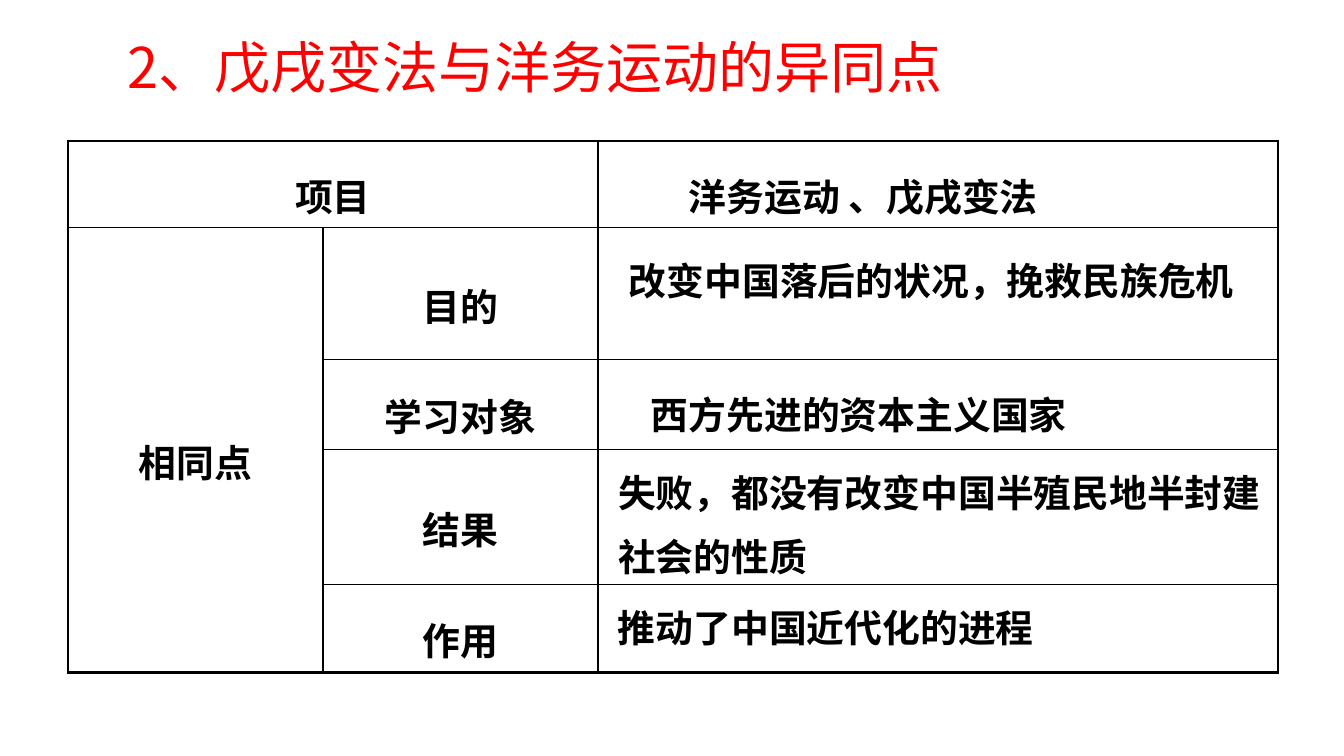
from lxml.etree import SubElement
from pptx import Presentation
from pptx.dml.color import RGBColor
from pptx.enum.text import MSO_ANCHOR, MSO_AUTO_SIZE, PP_ALIGN
from pptx.oxml import parse_xml
from pptx.oxml.ns import nsdecls, qn
from pptx.util import Emu, Pt

SCALE = 914400 / 100.8
COLORS = {"ink": "000000", "title": "FF0000"}
CJK_FONT = "Noto Sans CJK SC"
COLUMNS = [255, 275, 680]
ROWS = [78, 132, 90, 135, 88]
LABELS = {
    (0, 0): "项目",
    (1, 0): "相同点",
    (1, 1): "目的",
    (2, 1): "学习对象",
    (3, 1): "结果",
    (4, 1): "作用",
}
HEADING = "洋务运动 、戊戌变法"
ANSWERS = [
    ("改变中国落后的状况，挽救民族危机", (616, 233, 641, 78), False),
    ("西方先进的资本主义国家", (638, 367, 449, 78), False),
    ("失败，都没有改变中国半殖民地半封建社会的性质", (605, 445, 672, 142), True),
    ("推动了中国近代化的进程", (605, 580, 449, 78), False),
]


def px(length):
    """Turn pixels into EMU."""
    return Emu(round(length * SCALE))


def write(para, text, size, color, font="Arial", bold=False, indent=0):
    """Add one styled run to a paragraph."""
    span = para.add_run()
    span.text = text
    span.font.size = Pt(size)
    span.font.bold = bold
    span.font.name = font
    span.font.color.rgb = RGBColor.from_string(COLORS[color])
    SubElement(span.font._element, qn("a:ea"), typeface=CJK_FONT)
    if indent:
        properties = para._p.get_or_add_pPr()
        properties.set("marL", str(px(indent)))
        properties.set("indent", "0")


def set_margins(target, across, down):
    """Set the inner margins of a cell or text frame."""
    target.margin_left = target.margin_right = px(across)
    target.margin_top = target.margin_bottom = px(down)


def add_text_frame(page, box, wrap=True):
    """Add a text box and return its frame."""
    frame = page.shapes.add_textbox(*map(px, box)).text_frame
    frame.word_wrap = wrap
    frame.auto_size = MSO_AUTO_SIZE.SHAPE_TO_FIT_TEXT
    return frame


def add_borders(cell, row, column):
    """Draw heavy outer and thin inner borders around a cell."""
    height = cell.span_height if cell.is_merge_origin else 1
    width = cell.span_width if cell.is_merge_origin else 1
    outer = {
        "lnL": column == 0,
        "lnR": column + width == len(COLUMNS),
        "lnT": row == 0,
        "lnB": row + height == len(ROWS),
    }
    edges = [(tag, heavy) for tag, heavy in outer.items() if heavy or not cell.is_spanned]
    properties = cell._tc.get_or_add_tcPr()
    for position, (tag, heavy) in enumerate(edges):
        weight = Pt(2.25 if heavy else 1)
        properties.insert(position, parse_xml(
            f'<a:{tag} {nsdecls("a")} w="{weight}"><a:solidFill>'
            f'<a:srgbClr val="{COLORS["ink"]}"/></a:solidFill></a:{tag}>'))


def fill_cell(cell, text, align, anchor, indent=0):
    """Write a bold label in a cell."""
    cell.vertical_anchor = anchor
    para = cell.text_frame.paragraphs[0]
    para.alignment = align
    para.line_spacing = 1.4
    para.space_before = Pt(5.4)
    write(para, text, 27, "ink", bold=True, indent=indent)


def add_comparison(page, box):
    """Build the comparison table."""
    table = page.shapes.add_table(len(ROWS), len(COLUMNS), *map(px, box)).table
    table.first_row = table.horz_banding = False
    for column, width in zip(table.columns, COLUMNS):
        column.width = px(width)
    for row, height in zip(table.rows, ROWS):
        row.height = px(height)
    table.cell(0, 0).merge(table.cell(0, 1))
    table.cell(1, 0).merge(table.cell(4, 0))
    for row in range(len(ROWS)):
        for column in range(len(COLUMNS)):
            cell = table.cell(row, column)
            set_margins(cell, 13, 5)
            cell.fill.background()
            add_borders(cell, row, column)
    for place, label in LABELS.items():
        fill_cell(table.cell(*place), label, PP_ALIGN.CENTER, MSO_ANCHOR.MIDDLE)
    fill_cell(table.cell(0, 2), HEADING, PP_ALIGN.LEFT, MSO_ANCHOR.TOP, indent=78)


def add_answer(page, box, text, wrap):
    """Place one answer over its table row."""
    frame = add_text_frame(page, box, wrap)
    set_margins(frame, 13, 7)
    para = frame.paragraphs[0]
    para.line_spacing = 1.4
    write(para, text, 27, "ink", bold=True)


def add_title(page, box):
    """Place the slide heading."""
    para = add_text_frame(page, box).paragraphs[0]
    write(para, "2、戊戌变法与洋务运动的异同点", 40, "title", CJK_FONT, indent=50)


def main():
    """Build and save the deck."""
    deck = Presentation()
    deck.slide_width, deck.slide_height = px(1344), px(756)
    page = deck.slides.add_slide(deck.slide_layouts[6])
    add_comparison(page, (68, 141, sum(COLUMNS), sum(ROWS)))
    for text, box, wrap in ANSWERS:
        add_answer(page, box, text, wrap)
    add_title(page, (68, 28, 1270, 78))
    deck.save("out.pptx")


if __name__ == "__main__":
    main()
